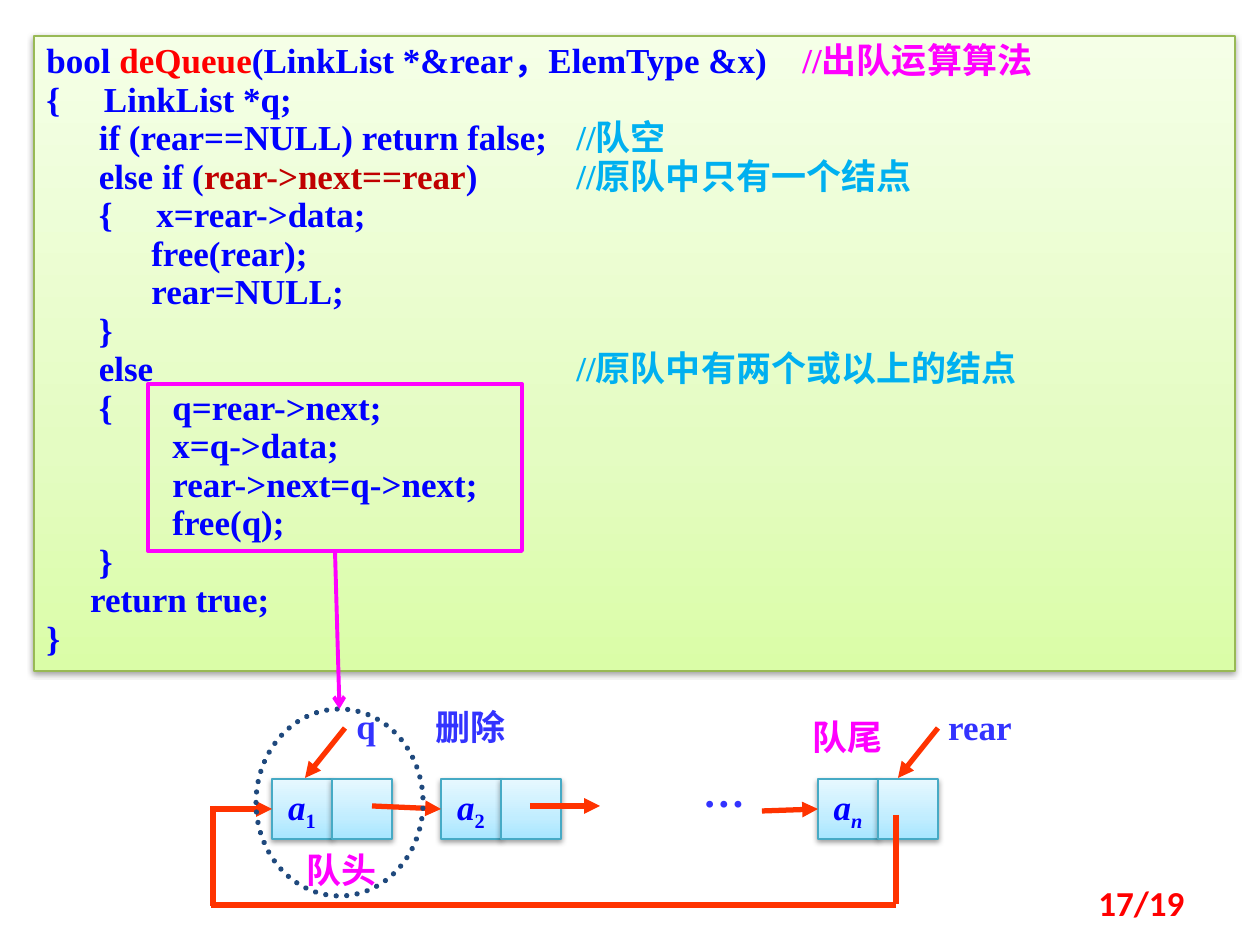
from dataclasses import dataclass

from lxml.etree import SubElement
from pptx import Presentation
from pptx.dml.color import RGBColor
from pptx.enum.dml import MSO_LINE
from pptx.enum.shapes import MSO_CONNECTOR, MSO_SHAPE
from pptx.enum.text import MSO_ANCHOR, PP_ALIGN
from pptx.oxml import parse_xml
from pptx.oxml.ns import nsdecls, qn
from pptx.util import Emu, Pt

PX = 914400 / 126
TOP, LEFT, BOTTOM = 0, 1, 2


@dataclass(frozen=True)
class Theme:
    code: str = "0000FF"
    name: str = "FF0000"
    condition: str = "C00000"
    accent: str = "FF00FF"
    comment: str = "00B0F0"
    label: str = "3333FF"
    link: str = "FF3300"
    ring: str = "1F497D"
    panel: tuple = ("DAFDA7", "E4FCC2", "F5FFE7")
    panel_edge: str = "98B955"
    node: tuple = ("A7E6FF", "C1EDFF", "E7F8FF")
    node_edge: str = "46AAC5"
    latin: str = "Times New Roman"
    cjk: str = "Noto Sans CJK SC"
    number: str = "Calibri"
    size: int = 20
    dots_size: int = 24
    leading: int = 22


T = Theme()


def px(n):
    return Emu(round(n * PX))


class SlideBuilder:
    def __init__(self, slide):
        self.shapes = slide.shapes

    def run(self, p, text, color, font=T.latin, size=T.size, italic=None, sub=False):
        r = p.add_run()
        r.text = text
        f = r.font
        f.name, f.size, f.bold, f.italic = font, Pt(size), True, italic
        f.color.rgb = RGBColor.from_string(color)
        rPr = r._r.get_or_add_rPr()
        SubElement(rPr, qn("a:ea")).set("typeface", T.cjk)
        if sub:
            rPr.set("baseline", "-25000")

    def box(self, x, y, w, h, edge, width, kind=MSO_SHAPE.RECTANGLE, stops=None):
        """Outlined shape; with gradient stops it is also filled and shadowed."""
        sp = self.shapes.add_shape(kind, px(x), px(y), px(w), px(h))
        sp.shadow.inherit = False
        sp.fill.background()
        sp.line.color.rgb = RGBColor.from_string(edge)
        sp.line.width = Pt(width)
        if stops:
            spPr = sp._element.spPr
            gs = "".join(f'<a:gs pos="{pos}"><a:srgbClr val="{c}"/></a:gs>'
                         for pos, c in zip((0, 35000, 100000), stops))
            spPr.replace(spPr.find(qn("a:noFill")), parse_xml(
                f'<a:gradFill {nsdecls("a")} rotWithShape="1"><a:gsLst>{gs}</a:gsLst>'
                '<a:lin ang="16200000" scaled="0"/></a:gradFill>'))
            spPr.find(qn("a:effectLst")).append(parse_xml(
                f'<a:outerShdw {nsdecls("a")} blurRad="40000" dist="20000" dir="5400000" '
                'rotWithShape="0"><a:srgbClr val="000000"><a:alpha val="38000"/>'
                '</a:srgbClr></a:outerShdw>'))
        return sp

    def code(self, x, y, w, h, lines, tab_stops):
        """Code panel; the colour of a line's last run picks its tab stop."""
        sp = self.box(x, y, w, h, T.panel_edge, 0.75, stops=T.panel)
        tf = sp.text_frame
        tf.word_wrap = True
        tf.vertical_anchor = MSO_ANCHOR.TOP
        for i, runs in enumerate(lines):
            p = tf.paragraphs[0] if i == 0 else tf.add_paragraph()
            p.alignment = PP_ALIGN.LEFT
            p.line_spacing = Pt(T.leading)
            tabs = SubElement(p._p.get_or_add_pPr(), qn("a:tabLst"))
            tab = SubElement(tabs, qn("a:tab"))
            tab.set("pos", str(px(tab_stops[runs[-1][1]])))
            tab.set("algn", "l")
            for text, color in runs:
                self.run(p, text, color)

    def node(self, x, y, side, index, italic):
        """Two cells: data with a subscript, then the pointer; returns the data cell."""
        data, _ = [self.box(left, y, side, side, T.node_edge, 0.75, stops=T.node)
                   for left in (x, x + side)]
        tf = data.text_frame
        tf.word_wrap = False
        tf.vertical_anchor = MSO_ANCHOR.MIDDLE
        p = tf.paragraphs[0]
        p.alignment = PP_ALIGN.CENTER
        self.run(p, "a", T.code, italic=True)
        self.run(p, index, T.code, italic=italic, sub=True)
        return data

    def text(self, x, y, w, h, text, color, align=PP_ALIGN.CENTER, **font):
        tf = self.shapes.add_textbox(px(x), px(y), px(w), px(h)).text_frame
        tf.word_wrap = True
        p = tf.paragraphs[0]
        p.alignment = align
        self.run(p, text, color, **font)

    def line(self, x1, y1, x2, y2, color=T.link, width=3, head=None, begin=None, end=None):
        c = self.shapes.add_connector(MSO_CONNECTOR.STRAIGHT, px(x1), px(y1), px(x2), px(y2))
        if begin:
            c.begin_connect(*begin)
        if end:
            c.end_connect(*end)
        c.line.color.rgb = RGBColor.from_string(color)
        c.line.width = Pt(width)
        if head:
            SubElement(c.get_or_add_ln(), qn("a:tailEnd")).set("type", head)
        SubElement(c._element.spPr, qn("a:effectLst"))


CODE = [
    [("bool ", T.code), ("deQueue", T.name),
     ("(LinkList *&rear，ElemType &x)\t", T.code), ("//出队运算算法", T.accent)],
    [("{     LinkList *q;", T.code)],
    [("      if (rear==NULL) return false;\t", T.code), ("//队空", T.comment)],
    [("      else if (", T.code), ("rear->next==rear", T.condition),
     (")\t", T.code), ("//原队中只有一个结点", T.comment)],
    [("      {     x=rear->data;", T.code)],
    [("            free(rear);", T.code)],
    [("            rear=NULL;", T.code)],
    [("      }", T.code)],
    [("      else\t", T.code), ("//原队中有两个或以上的结点", T.comment)],
    [("      {\tq=rear->next;", T.code)],
    [("\tx=q->data;", T.code)],
    [("\trear->next=q->next;", T.code)],
    [("\tfree(q);", T.code)],
    [("      }", T.code)],
    [("     return true;", T.code)],
    [("}", T.code)],
]
TAB_STOPS = {T.code: 126, T.comment: 530, T.accent: 756}


def main():
    prs = Presentation()
    prs.slide_width, prs.slide_height = px(1260), px(945)
    s = SlideBuilder(prs.slides.add_slide(prs.slide_layouts[6]))

    s.code(34, 36, 1201, 635, CODE, TAB_STOPS)

    first, second, last = [s.node(x, 779, 60, index, italic) for x, index, italic in
                           ((272, "1", False), (441, "2", False), (818, "n", True))]
    s.line(372, 806, 441, 806, head="triangle", end=(second, LEFT))
    s.line(530, 806, 600, 806, head="triangle")
    s.line(762, 811, 818, 809, head="triangle", end=(last, LEFT))

    # Link from the last node back to the first
    s.line(896, 815, 896, 904)
    s.line(211, 905, 896, 905)
    s.line(213, 806, 213, 906)
    s.line(213, 809, 272, 809, head="triangle", end=(first, LEFT))

    # Pointers q and rear
    s.line(345, 728, 305, 778, head="triangle")
    s.line(938, 728, 898, 778, head="triangle")

    ring = s.box(256, 709, 167, 187, T.ring, 3, kind=MSO_SHAPE.OVAL)
    ring.line.dash_style = MSO_LINE.ROUND_DOT
    ring.get_or_add_ln().set("cap", "rnd")
    frame = s.box(148, 384, 374, 167, T.accent, 2.25)
    s.line(335, 551, 340, 709, T.accent, 2.25, "arrow", (frame, BOTTOM), (ring, TOP))

    s.text(344, 698, 42, 54, "q", T.label)
    s.text(925, 699, 110, 54, "rear", T.label)
    s.text(669, 759, 110, 63, "…", T.label, size=T.dots_size)
    s.text(423, 699, 118, 55, "删除", T.label, PP_ALIGN.LEFT, font=T.cjk)
    s.text(282, 842, 120, 54, "队头", T.accent, font=T.cjk)
    s.text(788, 709, 120, 54, "队尾", T.accent, font=T.cjk)
    s.text(903, 875, 294, 50, "17/19", T.name, PP_ALIGN.RIGHT, font=T.number)

    prs.save("out.pptx")


if __name__ == "__main__":
    main()
